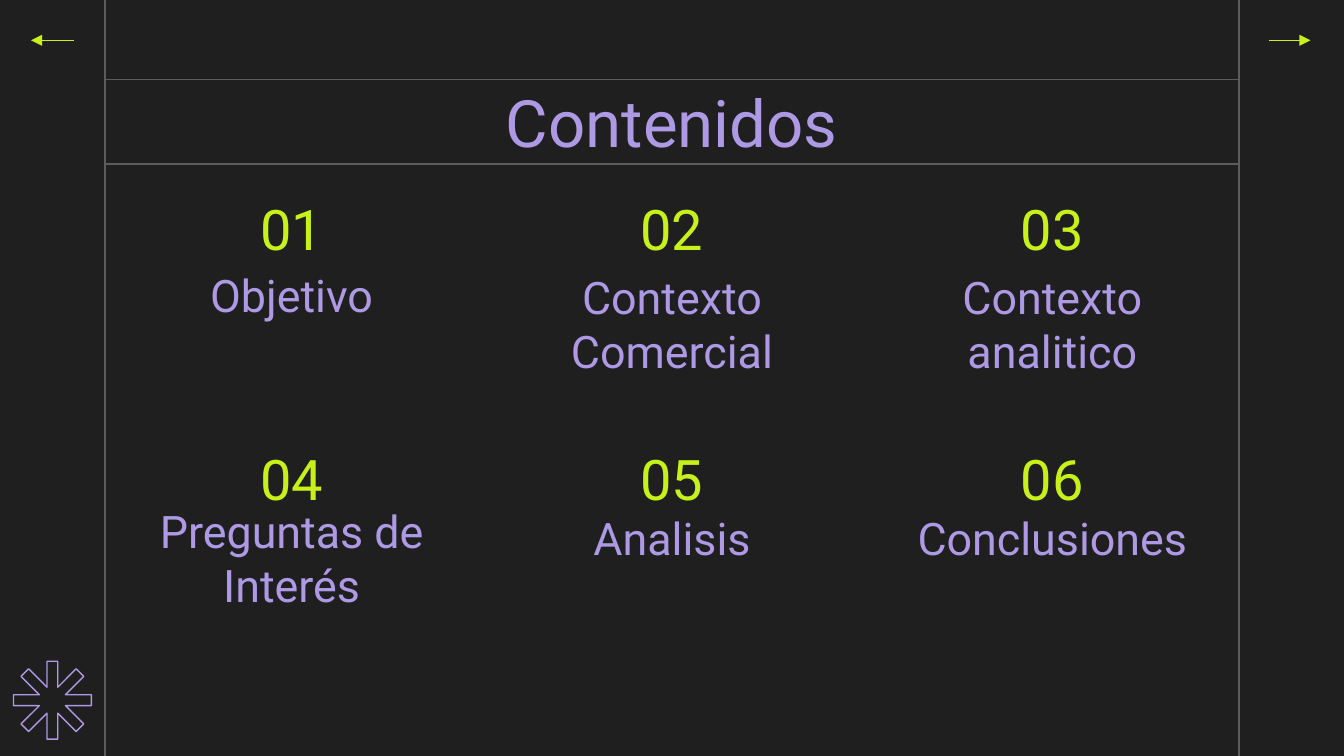
"""Builds the contents slide: a framed title above a grid of six numbered sections."""
import math

import pptx
import pptx.dml.color
import pptx.enum.shapes
import pptx.enum.text
import pptx.oxml.ns
import pptx.util
from lxml import etree

WIDTH = 10
HEIGHT = WIDTH * 9 / 16
MARGIN = 0.78
COLUMN_STEP, LABEL_WIDTH = 2.83, 2.78
NUMBER_TOPS = (1.49, 3.35)
NUMBER_WIDTH, ROW_HEIGHT = 0.99, 0.42
NUMBER_INDENT = (LABEL_WIDTH - NUMBER_WIDTH) / 2
COLORS = {"background": "1F1F1F", "frame": "5C5C5C", "lilac": "AD99E4", "lime": "C8F119"}
SECTIONS = (
    (("Objetivo", 2.07), ("Contexto Comercial", 2.49), ("Contexto analitico", 2.49)),
    (("Preguntas de Interés", 4.23), ("Analisis", 3.88), ("Conclusiones", 3.88)),
)


def inches(*lengths):
    """Converts lengths in inches to slide units."""
    return [pptx.util.Inches(length) for length in lengths]


def rgb(name):
    """Returns the named palette colour."""
    return pptx.dml.color.RGBColor.from_string(COLORS[name])


def outline(line, color):
    """Gives a line or an outline its colour and the common width."""
    line.color.rgb = rgb(color)
    line.width = pptx.util.Pt(0.75)


def write(holder, text, size, color, anchor):
    """Puts centred text into a shape."""
    frame = holder.text_frame
    frame.text = text
    frame.word_wrap = True
    frame.auto_size = pptx.enum.text.MSO_AUTO_SIZE.NONE
    frame.vertical_anchor = anchor
    frame.margin_left = frame.margin_right = pptx.util.Inches(0.1)
    frame.margin_top = frame.margin_bottom = pptx.util.Inches(0.1)
    paragraph = frame.paragraphs[0]
    paragraph.alignment = pptx.enum.text.PP_ALIGN.CENTER
    font = paragraph.runs[0].font
    font.name = "Roboto"
    font.size = pptx.util.Pt(size)
    font.color.rgb = rgb(color)


def add_text(slide, box, text, size, color, anchor):
    """Adds a text box at left, top, width and height."""
    write(slide.shapes.add_textbox(*inches(*box)), text, size, color, anchor)


def add_line(slide, start, end, color, arrow=False):
    """Adds a straight line, with a triangular head at its end if wanted."""
    straight = pptx.enum.shapes.MSO_CONNECTOR.STRAIGHT
    connector = slide.shapes.add_connector(straight, *inches(*start, *end))
    outline(connector.line, color)
    if arrow:
        head = etree.SubElement(connector.line._get_or_add_ln(), pptx.oxml.ns.qn("a:tailEnd"))
        head.set("type", "triangle")
    etree.SubElement(connector._element.spPr, pptx.oxml.ns.qn("a:effectLst"))


def add_asterisk(slide, center_x, center_y, reach, half_width, arms=8):
    """Adds an outlined asterisk with equally turned arms."""
    notch = half_width / math.tan(math.pi / arms)
    points = []
    for arm in range(arms):
        turn = 2 * math.pi * arm / arms
        cos, sin = math.cos(turn), math.sin(turn)
        for x, y in ((reach, -half_width), (reach, half_width), (notch, half_width)):
            points.append(inches(center_x + x * cos - y * sin, center_y + x * sin + y * cos))
    builder = slide.shapes.build_freeform(*points[0])
    builder.add_line_segments(points[1:], close=True)
    asterisk = builder.convert_to_shape()
    asterisk.shadow.inherit = False
    asterisk.fill.solid()
    asterisk.fill.fore_color.rgb = rgb("background")
    outline(asterisk.line, "lilac")


def add_title(slide, text):
    """Places the framed title between the two side lines."""
    title = slide.shapes.title
    title.left, title.top, title.width, title.height = inches(
        MARGIN, 0.59, WIDTH - 2 * MARGIN, 0.63)
    outline(title.line, "frame")
    write(title, text, 35, "lilac", pptx.enum.text.MSO_ANCHOR.MIDDLE)


def add_sections(slide):
    """Adds the numbers and names of the sections, row by row."""
    anchors = pptx.enum.text.MSO_ANCHOR
    for row, (number_top, sections) in enumerate(zip(NUMBER_TOPS, SECTIONS)):
        for column, (name, name_top) in enumerate(sections):
            left = MARGIN + column * COLUMN_STEP
            number = f"{row * len(sections) + column + 1:02d}"
            add_text(slide, (left + NUMBER_INDENT, number_top, NUMBER_WIDTH, ROW_HEIGHT),
                     number, 30, "lime", anchors.MIDDLE)
            add_text(slide, (left, name_top, LABEL_WIDTH, ROW_HEIGHT),
                     name, 24, "lilac", anchors.BOTTOM)


def main():
    """Builds and saves the slide."""
    deck = pptx.Presentation()
    deck.slide_width, deck.slide_height = inches(WIDTH, HEIGHT)
    slide = deck.slides.add_slide(deck.slide_layouts[5])
    slide.background.fill.solid()
    slide.background.fill.fore_color.rgb = rgb("background")
    for x in (MARGIN, WIDTH - MARGIN):
        add_line(slide, (x, 0), (x, HEIGHT), "frame")
    add_asterisk(slide, MARGIN / 2, 5.21, 0.29, 0.04)
    add_title(slide, "Contenidos")
    add_sections(slide)
    add_line(slide, (9.44, 0.3), (9.75, 0.3), "lime", arrow=True)
    add_line(slide, (0.55, 0.3), (0.23, 0.3), "lime", arrow=True)
    deck.save("out.pptx")


if __name__ == "__main__":
    main()
